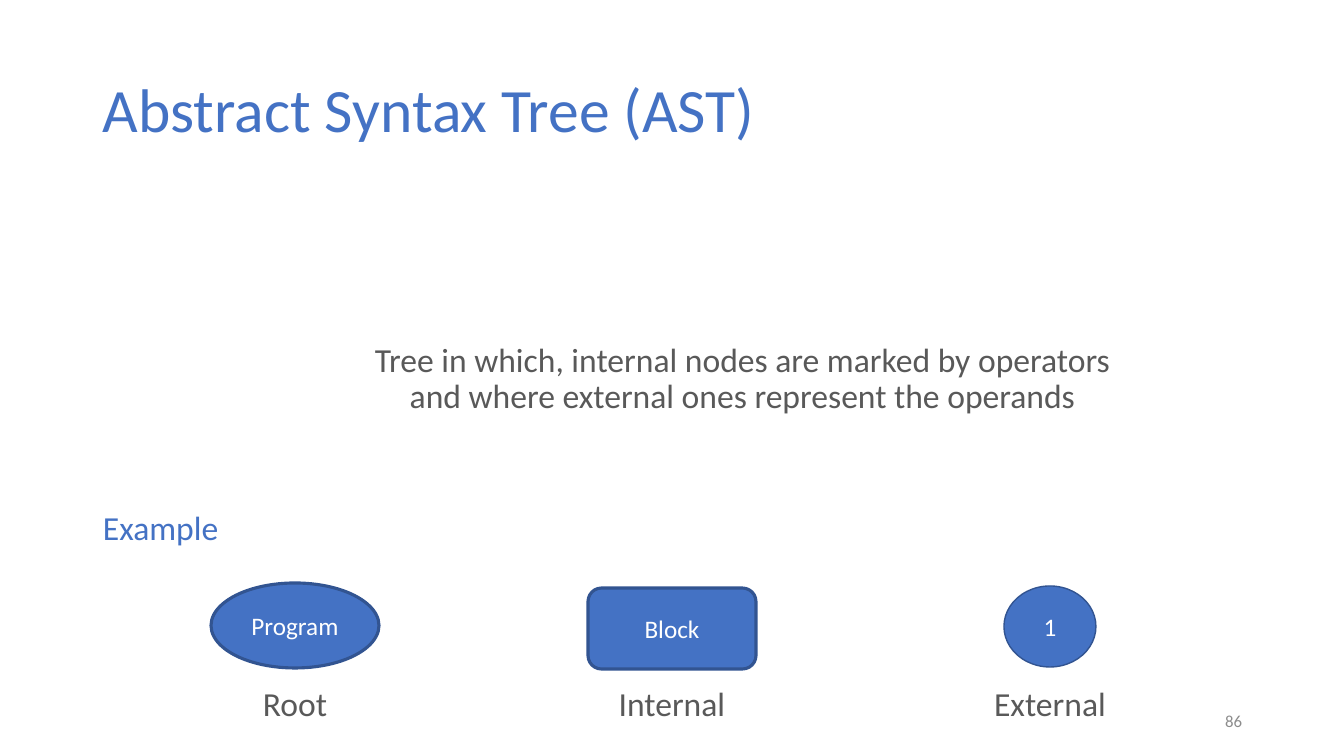
import pptx
import pptx.dml.color
import pptx.enum.shapes
import pptx.enum.text
import pptx.util

SHAPE = pptx.enum.shapes.MSO_SHAPE
ALIGN = pptx.enum.text.PP_ALIGN
ANCHOR = pptx.enum.text.MSO_ANCHOR

COLORS = {"accent": "4472C4", "outline": "325491", "body": "595959",
          "number": "8C8C8C", "white": "FFFFFF"}
FONT = "Calibri"
EMU_PER_PX = 914400 / 100.8
SLIDE_SIZE = (1344, 756)

# lines, box (left, top, width, height), size, colour, alignment, anchor, line spacing
TEXTS = [
    (["Abstract Syntax Tree (AST)"], (93, 40, 1159, 146), 44, "accent",
     ALIGN.LEFT, ANCHOR.MIDDLE, 0.9),
    (["Tree in which, internal nodes are marked by operators",
      "and where external ones represent the operands"],
     (318, 338, 849, 81), 24, "body", ALIGN.CENTER, ANCHOR.TOP, 0.9),
    (["Example"], (93, 507, 386, 53), 24, "accent", ALIGN.LEFT, ANCHOR.TOP, 0.9),
    (["86"], (950, 701, 302, 40), 12, "number", ALIGN.RIGHT, ANCHOR.MIDDLE, 1.0),
]

# node text, shape, centre x, top, width, height, line width, label, label width
NODES = [
    ("Program", SHAPE.OVAL, 295, 583, 168, 85, 2.25, "Root", 92),
    ("Block", SHAPE.ROUNDED_RECTANGLE, 672, 588, 168, 81, 2.25, "Internal", 324),
    ("1", SHAPE.OVAL, 1050, 586, 92, 81, 1, "External", 324),
]
LABEL_TOP, LABEL_HEIGHT = 683, 53


def px(length):
    return pptx.util.Emu(round(length * EMU_PER_PX))


def rgb(name):
    return pptx.dml.color.RGBColor.from_string(COLORS[name])


def write(shape, lines, size, color, align, anchor, spacing):
    frame = shape.text_frame
    frame.word_wrap = True
    frame.vertical_anchor = anchor
    paragraph = frame.paragraphs[0]
    paragraph.alignment = align
    paragraph.line_spacing = spacing
    for index, line in enumerate(lines):
        if index:
            paragraph.add_line_break()
        run = paragraph.add_run()
        run.text = line
        run.font.name = FONT
        run.font.size = pptx.util.Pt(size)
        run.font.color.rgb = rgb(color)


def add_text(slide, lines, box, *style):
    write(slide.shapes.add_textbox(*map(px, box)), lines, *style)


def add_node(slide, text, kind, center, top, width, height, line_width, label, label_width):
    box = (center - width / 2, top, width, height)
    node = slide.shapes.add_shape(kind, *map(px, box))
    node.shadow.inherit = False
    node.fill.solid()
    node.fill.fore_color.rgb = rgb("accent")
    node.line.color.rgb = rgb("outline")
    node.line.width = pptx.util.Pt(line_width)
    write(node, [text], 18, "white", ALIGN.CENTER, ANCHOR.MIDDLE, 1.0)
    label_box = (center - label_width / 2, LABEL_TOP, label_width, LABEL_HEIGHT)
    add_text(slide, [label], label_box, 24, "body", ALIGN.CENTER, ANCHOR.TOP, 0.9)


def main():
    deck = pptx.Presentation()
    deck.slide_width, deck.slide_height = map(px, SLIDE_SIZE)
    slide = deck.slides.add_slide(deck.slide_layouts[6])
    for text in TEXTS:
        add_text(slide, *text)
    for node in NODES:
        add_node(slide, *node)
    deck.save("out.pptx")


if __name__ == "__main__":
    main()
